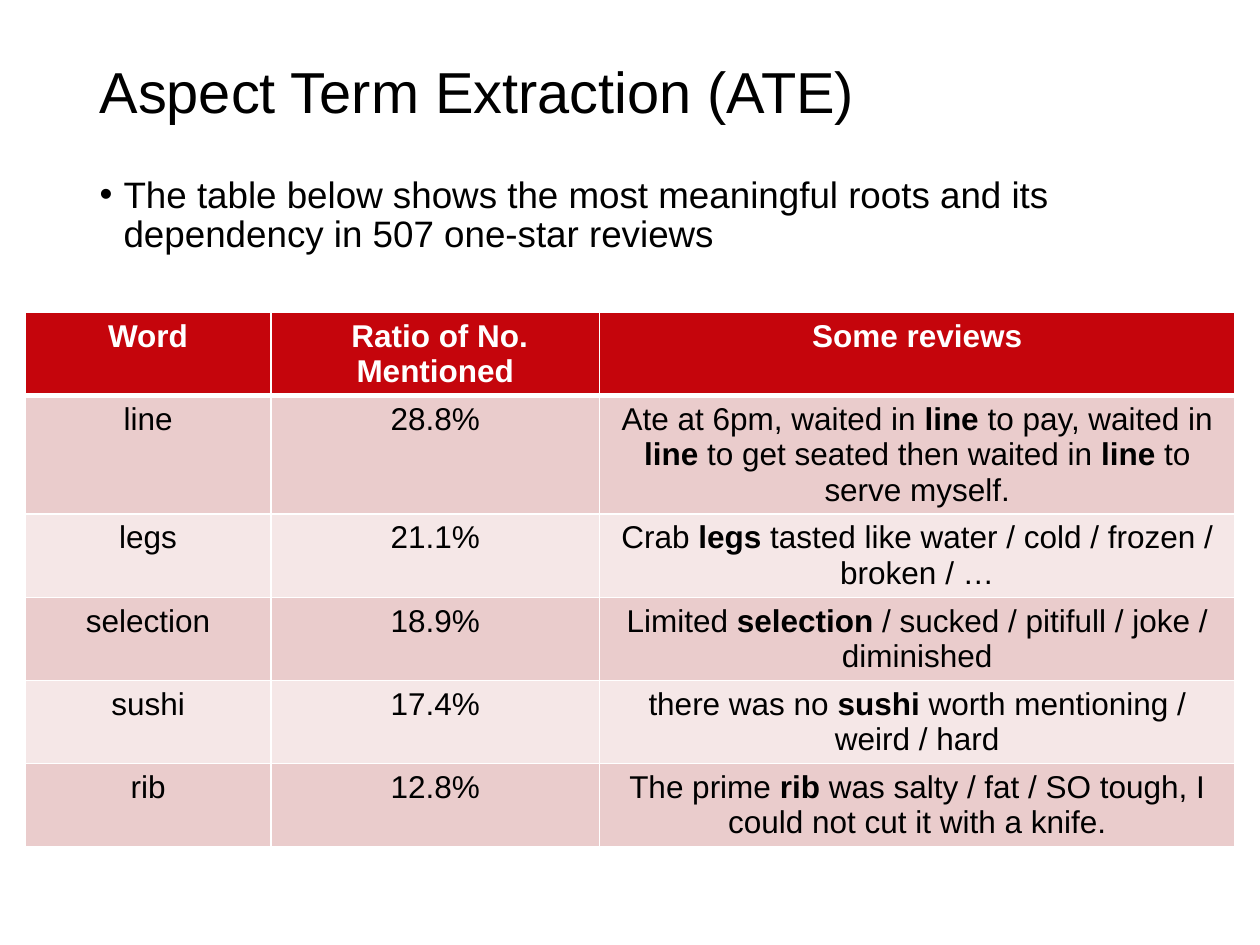
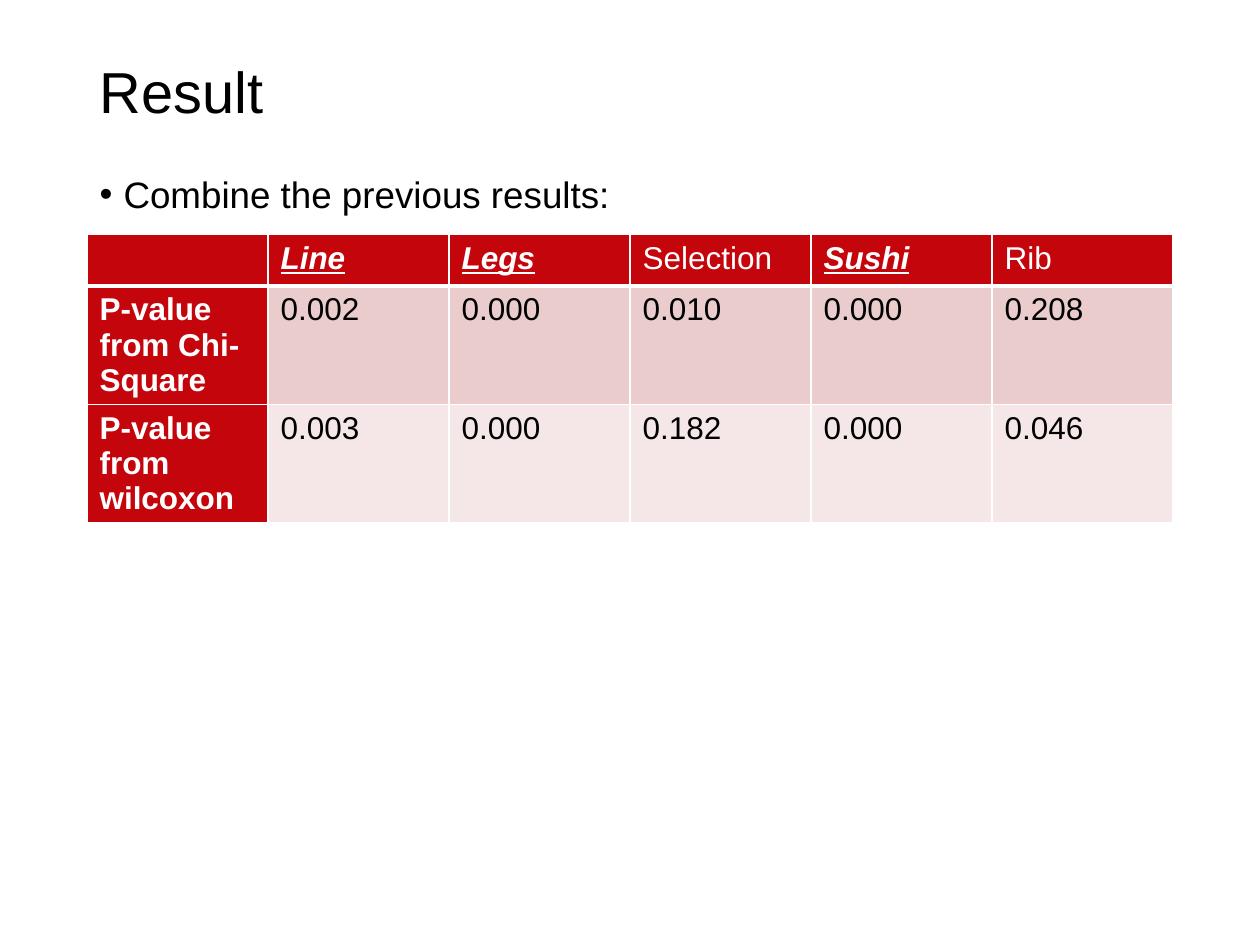
from lxml import etree
from pptx import Presentation
from pptx.dml.color import RGBColor
from pptx.enum.text import MSO_ANCHOR, MSO_AUTO_SIZE, PP_ALIGN
from pptx.oxml.ns import qn
from pptx.util import Inches, Pt

LEFT, CENTER = PP_ALIGN.LEFT, PP_ALIGN.CENTER
MIDDLE, TOP = MSO_ANCHOR.MIDDLE, MSO_ANCHOR.TOP
NO_AUTOFIT = MSO_AUTO_SIZE.NONE

FONT = "Arial"
BLACK, WHITE = "000000", "FFFFFF"
HEADER_RED = "C5050C"
BANDS = ("EACCCC", "F5E7E7")
MARGIN, CONTENT_WIDTH = 0.69, 8.62
ROW_HEIGHT = 0.41
THIN, THICK = 1, 3
BOLD = ("bold",)
SIGNIFICANT = ("bold", "italic", "underline")


def rgb(hex_colour):
    return RGBColor.from_string(hex_colour)


def set_borders(cell, **widths):
    """Draw white borders; they have to precede the fill in the cell properties."""
    properties = cell._tc.get_or_add_tcPr()
    for position, (side, width) in enumerate(widths.items()):
        line = etree.Element(qn(f"a:ln{side}"), w=str(Pt(width)))
        fill = etree.SubElement(line, qn("a:solidFill"))
        etree.SubElement(fill, qn("a:srgbClr"), val=WHITE)
        properties.insert(position, line)


class Deck:
    def __init__(self):
        self.presentation = Presentation()
        self.presentation.slide_width = Inches(10)
        self.presentation.slide_height = Inches(7.5)
        self.slide = None

    def add_slide(self, title, point):
        layout = self.presentation.slide_layouts[1]
        self.slide = self.presentation.slides.add_slide(layout)
        self.fill_placeholder(0, title, 0.39, 0.73, 33, MIDDLE)
        bullet = self.fill_placeholder(1, point, 1.35, 5.39, 21, TOP)
        bullet.space_before = Pt(7.5)
        properties = bullet._p.get_or_add_pPr()
        properties.set("marL", str(Inches(0.19)))
        properties.set("indent", str(Inches(-0.19)))
        etree.SubElement(properties, qn("a:buChar"), char="•")

    def fill_placeholder(self, index, text, top, height, size, anchor):
        holder = self.slide.placeholders[index]
        holder.left, holder.top = Inches(MARGIN), Inches(top)
        holder.width, holder.height = Inches(CONTENT_WIDTH), Inches(height)
        frame = holder.text_frame
        frame.text = text
        frame.auto_size = NO_AUTOFIT
        frame.vertical_anchor = anchor
        paragraph = frame.paragraphs[0]
        paragraph.alignment = LEFT
        paragraph.line_spacing = 0.9
        self.format_run(paragraph.runs[0], size, BLACK)
        return paragraph

    def format_run(self, run, size, colour, emphasis=()):
        run.font.name = FONT
        run.font.size = Pt(size)
        run.font.color.rgb = rgb(colour)
        for effect in SIGNIFICANT:
            setattr(run.font, effect, effect in emphasis)

    def add_table(self, left, top, widths, rows, alignment=LEFT,
                  header_column=False, header_emphasis=BOLD):
        """Add a banded table; text between asterisks is emphasised."""
        table = self.slide.shapes.add_table(
            len(rows), len(widths), Inches(left), Inches(top),
            Inches(sum(widths)), Inches(ROW_HEIGHT * len(rows))).table
        for column, width in zip(table.columns, widths):
            column.width = Inches(width)
        for row_index, texts in enumerate(rows):
            table.rows[row_index].height = Inches(ROW_HEIGHT)
            for column_index, text in enumerate(texts):
                cell = table.cell(row_index, column_index)
                is_header = row_index == 0 or (header_column and column_index == 0)
                cell.fill.solid()
                cell.fill.fore_color.rgb = rgb(
                    HEADER_RED if is_header else BANDS[(row_index - 1) % 2])
                set_borders(cell, L=THIN, R=THIN,
                            T=THICK if row_index == 1 else THIN,
                            B=THICK if row_index == 0 else THIN)
                self.fill_cell(cell, text, alignment,
                               WHITE if is_header else BLACK,
                               header_emphasis if row_index == 0 else BOLD)

    def fill_cell(self, cell, text, alignment, colour, emphasis):
        paragraph = cell.text_frame.paragraphs[0]
        paragraph.alignment = alignment
        for index, part in enumerate(text.split("*")):
            if part:
                run = paragraph.add_run()
                run.text = part
                self.format_run(run, 18, colour, emphasis if index % 2 else ())


def main():
    deck = Deck()

    deck.add_slide("Aspect Term Extraction (ATE)",
                   "The table below shows the most meaningful roots and its "
                   "dependency in 507 one-star reviews")
    deck.add_table(0.2, 2.48, (1.95, 2.61, 5.04), [
        ("*Word*", "* Ratio of No. Mentioned*", "*Some reviews*"),
        ("line", "28.8%", "Ate at 6pm, waited in *line* to pay, waited in *line* "
                          "to get seated then waited in *line* to serve myself."),
        ("legs", "21.1%",
         "Crab *legs *tasted like water / cold / frozen / broken / …"),
        ("selection", "18.9%",
         "Limited *selection */ sucked / pitifull / joke / diminished"),
        ("sushi", "17.4%",
         "there was no *sushi* worth mentioning / weird / hard"),
        ("rib", "12.8%", "The prime *rib* was salty / fat / SO tough, "
                         "I could not cut it with a knife."),
    ], alignment=CENTER)

    deck.add_slide("Result", "Combine the previous results:")
    deck.add_table(MARGIN, 1.86, [CONTENT_WIDTH / 6] * 6, [
        ("", "*Line*", "*Legs*", "Selection", "*Sushi*", "Rib"),
        ("*P-value from Chi-Square*", "0.002", "0.000", "0.010", "0.000", "0.208"),
        ("*P-value from wilcoxon*", "0.003", "0.000", "0.182", "0.000", "0.046"),
    ], header_column=True, header_emphasis=SIGNIFICANT)

    deck.presentation.save("out.pptx")


if __name__ == "__main__":
    main()
